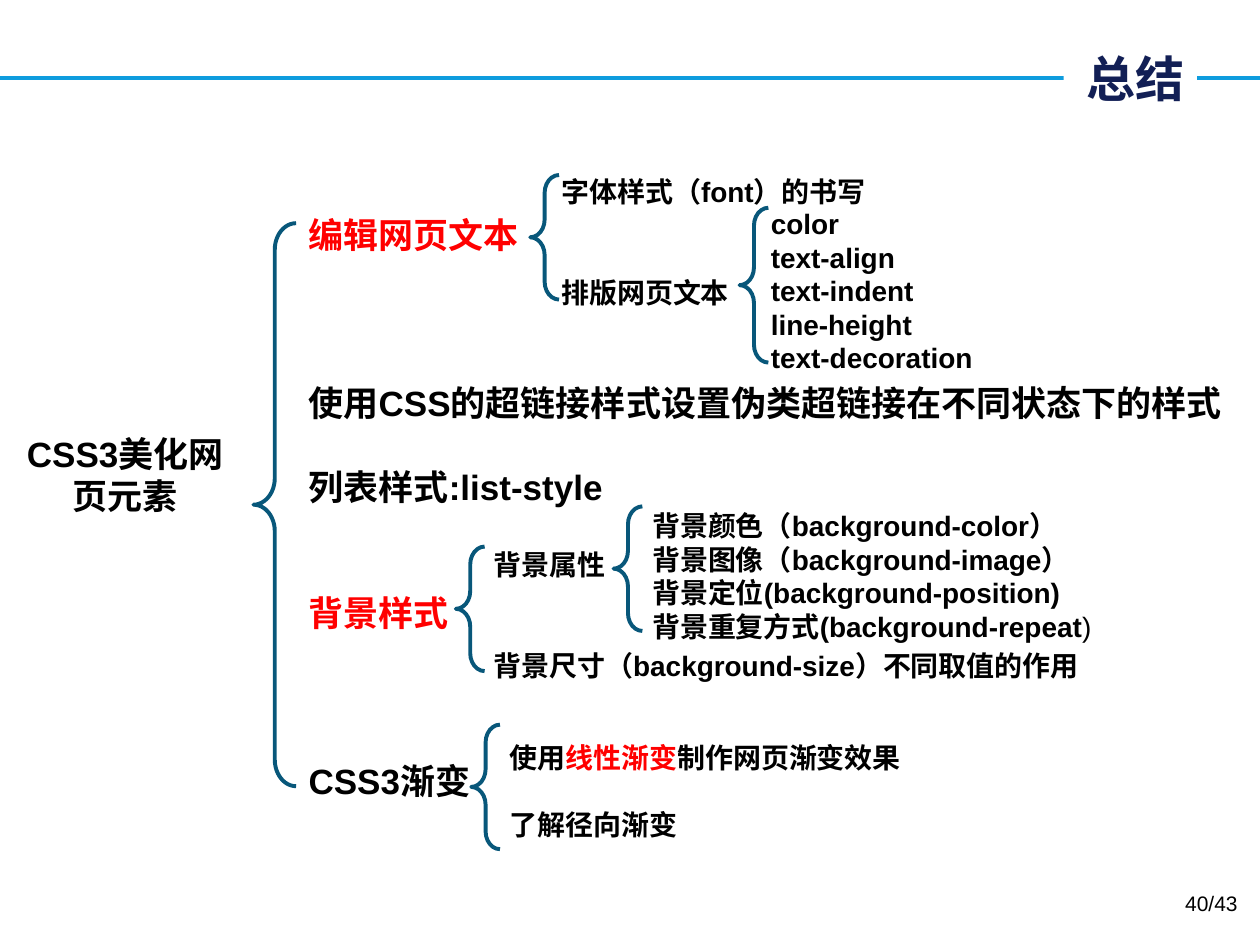
from dataclasses import dataclass

from lxml.etree import SubElement
from pptx import Presentation
from pptx.dml.color import RGBColor as RGB
from pptx.enum.shapes import MSO_CONNECTOR as CONN, MSO_SHAPE as SHAPE
from pptx.enum.text import MSO_ANCHOR as ANCHOR, PP_ALIGN as ALIGN
from pptx.oxml.ns import qn
from pptx.util import Cm, Pt


@dataclass(frozen=True)
class Theme:
    black: str = "000000"
    white: str = "FFFFFF"
    red: str = "FF0000"
    navy: str = "121F55"
    rule: str = "0E9CDE"
    brace: str = "08577A"
    title: int = 28
    topic: int = 20
    detail: int = 16
    footer: int = 12
    leading: float = 1.2
    stroke: float = 2.25
    font: str = "Arial"
    title_font: str = "Noto Sans CJK SC"


class Deck:
    """Draws styled elements on the current slide."""

    def __init__(self, theme, width, height):
        self.t = theme
        self.prs = Presentation()
        self.prs.slide_width, self.prs.slide_height = Cm(width), Cm(height)

    def new_slide(self):
        self.s = self.prs.slides.add_slide(self.prs.slide_layouts[6])

    def stroke(self, line, color):
        line.color.rgb = RGB.from_string(color)
        line.width = Pt(self.t.stroke)

    def rule(self, y):
        cn = self.s.shapes.add_connector(CONN.STRAIGHT, 0, Cm(y), self.prs.slide_width, Cm(y))
        self.stroke(cn.line, self.t.rule)
        SubElement(cn._element.spPr, qn("a:effectLst"))

    def brace(self, x, y, h, w=0.58):
        sp = self.s.shapes.add_shape(SHAPE.LEFT_BRACE, Cm(x), Cm(y), Cm(w), Cm(h))
        sp.shadow.inherit = False
        sp.fill.background()
        sp.adjustments[0] = 0.62
        self.stroke(sp.line, self.t.brace)

    def run(self, p, text, size, color=None, bold=True, font=None):
        font = font or self.t.font
        r = p.add_run()
        r.text = text
        r.font.name, r.font.size, r.font.bold = font, Pt(size), bold
        r.font.color.rgb = RGB.from_string(color or self.t.black)
        SubElement(r._r.get_or_add_rPr(), qn("a:ea"), typeface=font)

    def text(self, box, size, lines, align=ALIGN.LEFT):
        tf = self.s.shapes.add_textbox(*map(Cm, box)).text_frame
        tf.word_wrap = True
        pitch = size * self.t.leading
        for i, (gap, *runs) in enumerate(lines):
            p = tf.add_paragraph() if i else tf.paragraphs[0]
            p.alignment = align
            p.line_spacing, p.space_before = Pt(pitch), Pt(gap * pitch)
            for text, *style in runs:
                self.run(p, text, size, *style)

    def title(self, box, text):
        sp = self.s.shapes.add_shape(SHAPE.RECTANGLE, *map(Cm, box))
        sp.shadow.inherit = False
        sp.fill.solid()
        sp.fill.fore_color.rgb = RGB.from_string(self.t.white)
        sp.line.fill.background()
        tf = sp.text_frame
        tf.word_wrap, tf.vertical_anchor = True, ANCHOR.MIDDLE
        p = tf.paragraphs[0]
        p.alignment = ALIGN.RIGHT
        self.run(p, text, self.t.title, self.t.navy, True, self.t.title_font)


def main():
    t = Theme()
    d = Deck(t, 25.4, 19.05)
    d.new_slide()
    d.rule(1.57)
    d.title((21.44, 0.76, 2.69, 1.63), "总结")

    d.text((0, 8.59, 5.05, 1.96), t.topic, [(0, ("CSS3美化网页元素",))], ALIGN.CENTER)
    d.brace(5.11, 4.5, 11.35, 0.86)
    d.text((5.97, 4.17, 19.13, 12.22), t.topic, [
        (0, ("编辑网页文本", t.red)),
        (3, ("使用CSS的超链接样式设置伪类超链接在不同状态下的样式",)),
        (1, ("列表样式:list-style",)),
        (2, ("背景样式", t.red)),
        (3, ("CSS3渐变",)),
    ])

    d.brace(10.69, 3.53, 2.51)
    d.text((11.07, 3.4, 8.84, 3.68), t.detail, [
        (0, ("字体样式（font）的书写",)),
        (2, ("排版网页文本",)),
    ])
    d.brace(14.91, 4.19, 3.12)
    properties = ("color", "text-align", "text-indent", "line-height", "text-decoration")
    d.text((15.29, 4.04, 5.64, 3.68), t.detail, [(0, (name,)) for name in properties])

    d.brace(9.19, 11.02, 2.51)
    d.text((9.7, 10.92, 13.79, 3), t.detail, [
        (0, ("背景属性",)),
        (2, ("背景尺寸（background-size）不同取值的作用",)),
    ])
    d.brace(12.37, 10.21, 2.51)
    d.text((12.9, 10.13, 10.01, 3), t.detail, [
        (0, ("背景颜色（background-color）",)),
        (0, ("背景图像（background-image）",)),
        (0, ("背景定位(background-position)",)),
        (0, ("背景重复方式(background-repeat",), (")", t.black, False)),
    ])

    d.brace(9.5, 14.61, 2.51)
    d.text((10.03, 14.81, 8.66, 2.31), t.detail, [
        (0, ("使用",), ("线性渐变", t.red), ("制作网页渐变效果",)),
        (1, ("了解径向渐变",)),
    ])
    d.text((19.28, 17.83, 5.92, 1.02), t.footer, [(0, ("40/43", t.black, False))], ALIGN.RIGHT)
    d.prs.save("out.pptx")


if __name__ == "__main__":
    main()
